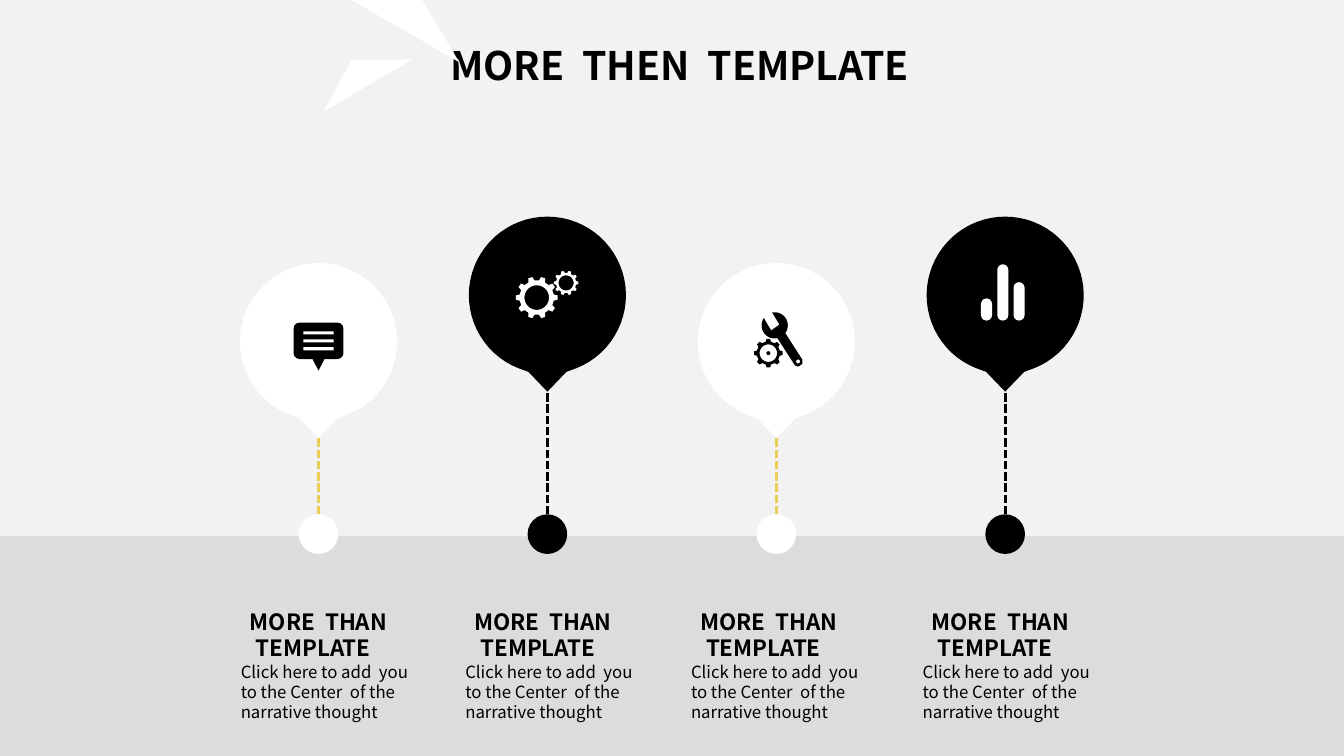
from math import cos, pi, radians, sin
from pptx import Presentation
from pptx.dml.color import RGBColor
from pptx.enum.dml import MSO_LINE
from pptx.enum.shapes import MSO_CONNECTOR, MSO_SHAPE
from pptx.enum.text import MSO_ANCHOR, PP_ALIGN
from pptx.oxml.ns import qn
from pptx.util import Cm, Pt

BLACK = RGBColor(0x00, 0x00, 0x00)
WHITE = RGBColor(0xFF, 0xFF, 0xFF)
YELLOW = RGBColor(0xEB, 0xCE, 0x57)
PALE_GREY = RGBColor(0xF2, 0xF2, 0xF2)
MID_GREY = RGBColor(0xDC, 0xDC, 0xDC)
FONT = "Noto Sans CJK JP"
WIDTH, HEIGHT = 33.88, 19.05
BAND_TOP = 13.51
PIN_RADIUS, PIN_HEIGHT = 1.98, 4.41
DOT_SIZE, DOT_TOP = 1.0, 12.96


def paint(shape, color):
    """Give a shape a flat fill without line or shadow."""
    shape.shadow.inherit = False
    shape.fill.solid()
    shape.fill.fore_color.rgb = color
    shape.line.fill.background()
    return shape


def add_preset(page, kind, left, top, width, height, color):
    """Add a flat preset shape, measured in centimetres."""
    shape = page.shapes.add_shape(kind, Cm(left), Cm(top), Cm(width), Cm(height))
    return paint(shape, color)


def add_outline(page, x, y, contours, color):
    """Add a freeform whose contours are offsets in centimetres from x, y."""
    rings = [[(Cm(x + dx), Cm(y + dy)) for dx, dy in ring] for ring in contours]
    builder = page.shapes.build_freeform(*rings[0][0])
    for index, ring in enumerate(rings):
        if index:
            builder.move_to(*ring[0])
        builder.add_line_segments(ring[1:], close=True)
    return paint(builder.convert_to_shape(), color)


def arc(radius, start, end, x=0, y=0, steps=60):
    """Return points on an arc, with angles in degrees, clockwise."""
    angles = [radians(start + (end - start) * i / steps) for i in range(steps + 1)]
    return [(x + radius * cos(a), y + radius * sin(a)) for a in angles]


def add_gear(page, x, y, radius, teeth, hole, color):
    """Draw a toothed wheel with a round hole."""
    profile = [(-0.29, 0.82), (-0.16, 1), (0.16, 1), (0.29, 0.82)]
    rim = []
    for tooth in range(teeth):
        for shift, reach in profile:
            angle = 2 * pi * (tooth + shift) / teeth
            rim.append((radius * reach * cos(angle), radius * reach * sin(angle)))
    add_outline(page, x, y, [rim, arc(hole, 0, 360)], color)


def write(frame, text, size, bold=False, margin=0, indent=0, first=False):
    """Write one left-aligned black paragraph into a text frame."""
    para = frame.paragraphs[0] if first else frame.add_paragraph()
    para.alignment = PP_ALIGN.LEFT
    properties = para._p.get_or_add_pPr()
    properties.set("marL", str(Cm(margin)))
    properties.set("indent", str(Cm(indent)))
    span = para.add_run()
    span.text = text
    span.font.name = FONT
    span.font.size = Pt(size)
    span.font.bold = bold
    span.font.color.rgb = BLACK


def draw_speech(page, x, y, color, ground):
    """Draw a speech bubble with three text lines."""
    add_preset(page, MSO_SHAPE.ROUNDED_RECTANGLE, x - 0.63, y - 0.48, 1.26, 0.92, color)
    add_outline(page, x, y, [[(-0.17, 0.4), (0.17, 0.4), (0, 0.73)]], color)
    for line in range(3):
        add_preset(page, MSO_SHAPE.RECTANGLE, x - 0.38, y - 0.26 + 0.2 * line, 0.76, 0.08, ground)


def draw_gears(page, x, y, color, ground):
    """Draw a large and a small gear."""
    add_gear(page, x - 0.27, y + 0.06, 0.53, 10, 0.31, color)
    add_gear(page, x + 0.47, y - 0.31, 0.31, 10, 0.19, color)


def draw_tools(page, x, y, color, ground):
    """Draw a wrench beside a gear."""
    head_x, head_y, radius = -0.04, -0.41, 0.33
    wrench = arc(radius, 259, 396, head_x, head_y)
    wrench += [(0.66, 0.46), (0.66, 0.56), (0.55, 0.63), (0.47, 0.6)]
    wrench += arc(radius, 78, 214, head_x, head_y)
    wrench += [(-0.13, -0.28), (0.08, -0.43)]
    add_outline(page, x, y, [wrench, arc(0.05, 0, 360, 0.55, 0.5)], color)
    add_gear(page, x - 0.2, y + 0.29, 0.36, 8, 0.22, color)
    add_preset(page, MSO_SHAPE.OVAL, x - 0.25, y + 0.24, 0.1, 0.1, color)


def draw_bars(page, x, y, color, ground):
    """Draw three round-ended bars on one baseline."""
    for column, height in enumerate((0.56, 1.42, 0.97)):
        left = x - 0.61 + 0.41 * column
        bar = add_preset(page, MSO_SHAPE.ROUNDED_RECTANGLE, left, y + 0.64 - height, 0.28, height, color)
        bar.adjustments[0] = 0.5


def add_backdrop(page):
    """Add the background, the two shards and the lower band."""
    page.background.fill.solid()
    page.background.fill.fore_color.rgb = PALE_GREY
    add_outline(page, 8.86, 0, [[(0, 0), (1.78, 0), (2.72, 1.57)]], WHITE)
    add_outline(page, 8.15, 1.5, [[(0, 1.32), (0.71, 0.02), (2.24, 0)]], WHITE)
    add_preset(page, MSO_SHAPE.RECTANGLE, 0, BAND_TOP, WIDTH, HEIGHT - BAND_TOP, MID_GREY)


def add_title(page, left, top, width, height):
    """Fill and place the title placeholder."""
    title = page.shapes.title
    title.left, title.top, title.width, title.height = map(Cm, (left, top, width, height))
    frame = title.text_frame
    frame.word_wrap = False
    frame.vertical_anchor = MSO_ANCHOR.MIDDLE
    write(frame, "MORE  THEN  TEMPLATE", 28, bold=True, first=True)


def add_pin(page, x, top, color, ground, line_color, draw_icon):
    """Add a pin with its icon, dashed stem and dot, centred on x."""
    middle = top + PIN_RADIUS
    tip = PIN_HEIGHT - PIN_RADIUS
    drop = arc(PIN_RADIUS, 112, 428) + [(0.48, 1.93), (0, tip), (-0.48, 1.93)]
    add_outline(page, x, middle, [drop], color)
    draw_icon(page, x, middle, ground, color)
    dot = add_preset(page, MSO_SHAPE.OVAL, x - DOT_SIZE / 2, DOT_TOP, DOT_SIZE, DOT_SIZE, color)
    stem = page.shapes.add_connector(
        MSO_CONNECTOR.STRAIGHT, Cm(x), Cm(DOT_TOP), Cm(x), Cm(top + PIN_HEIGHT))
    stem.begin_connect(dot, 0)
    stem.line.color.rgb = line_color
    stem.line.width = Pt(2)
    stem.line.dash_style = MSO_LINE.SQUARE_DOT
    properties = stem._element.spPr
    properties.append(properties.makeelement(qn("a:effectLst"), {}))


def add_caption(page, left, top, width, height):
    """Add a heading and its description below a pin."""
    box = page.shapes.add_textbox(Cm(left), Cm(top), Cm(width), Cm(height))
    frame = box.text_frame
    frame.word_wrap = True
    write(frame, "MORE  THAN TEMPLATE", 16, bold=True, margin=0.38, indent=-0.15, first=True)
    write(frame, "Click here to add  you to the Center  of the narrative thought", 12)


def main():
    """Build and save the slide."""
    deck = Presentation()
    deck.slide_width, deck.slide_height = Cm(WIDTH), Cm(HEIGHT)
    page = deck.slides.add_slide(deck.slide_layouts[5])
    add_backdrop(page)
    add_title(page, 11.1, 0.81, 12.2, 1.63)
    low = (6.63, WHITE, BLACK, YELLOW)
    high = (5.46, BLACK, WHITE, BLACK)
    milestones = [
        (low, draw_speech, 5.82),
        (high, draw_gears, 11.48),
        (low, draw_tools, 17.17),
        (high, draw_bars, 23.01),
    ]
    for index, (style, draw_icon, caption_left) in enumerate(milestones):
        add_pin(page, 8.03 + 5.77 * index, *style, draw_icon)
        add_caption(page, caption_left, 15.19, 4.95, 3.6)
    deck.save("out.pptx")


if __name__ == "__main__":
    main()
